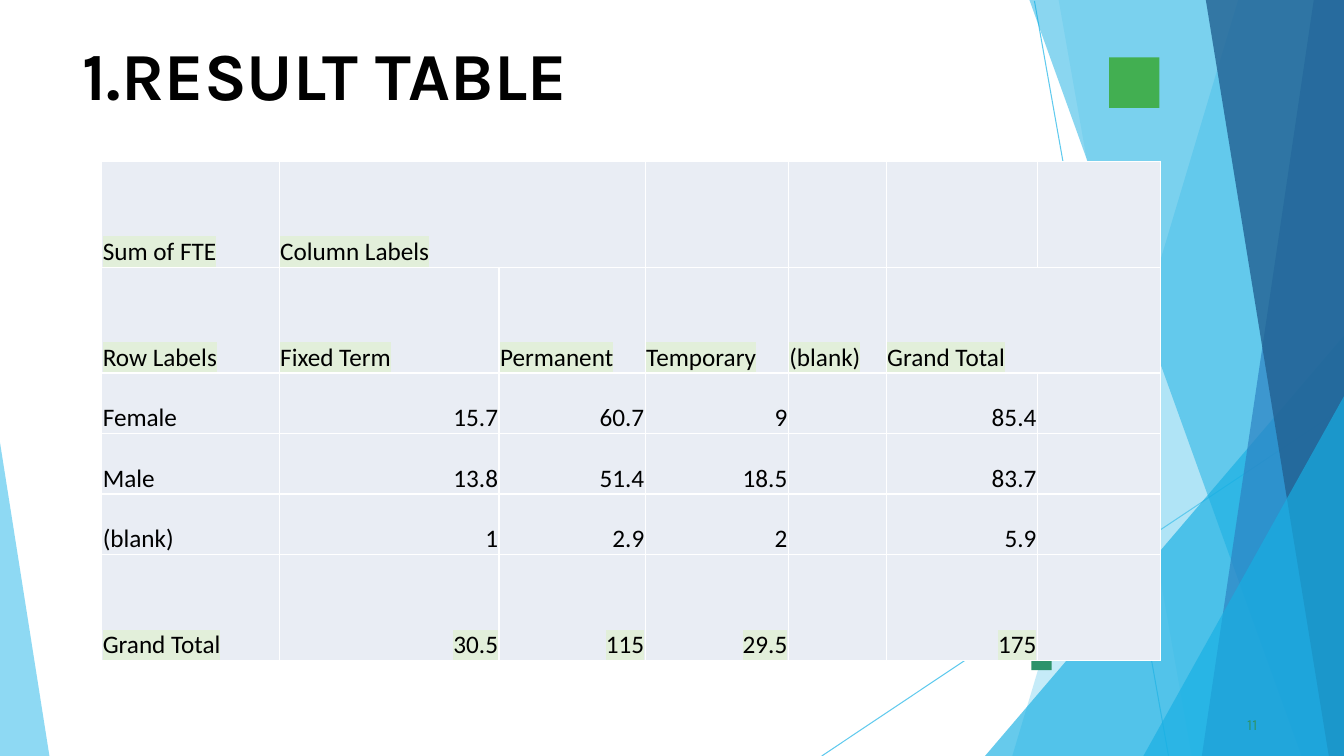
from lxml.etree import SubElement
from pptx import Presentation
from pptx.dml.color import RGBColor
from pptx.enum.shapes import MSO_CONNECTOR, MSO_SHAPE
from pptx.enum.text import MSO_ANCHOR, PP_ALIGN
from pptx.oxml.ns import qn
from pptx.util import Inches, Pt

COLORS = {
    "sky": "5FCAEE", "cyan": "17AFE3", "blue": "2D83C3", "navy": "226192",
    "teal": "2D936B", "green": "42AF51", "black": "000000", "white": "FFFFFF",
    "cell": "E9EDF4", "mark": "E2EFDA",
}
WIDE, HIGH = 13.33, 7.5

# Corners, colour and opacity in percent, from back to front
BANDS = [
    ([(WIDE, 0), (12.28, 0), (10.04, HIGH), (WIDE, HIGH)], "sky", 36),
    ([(WIDE, 0), (10.5, 0), (11.82, HIGH), (WIDE, HIGH)], "sky", 20),
    ([(WIDE, 3.33), (9.77, HIGH), (WIDE, HIGH)], "cyan", 66),
    ([(WIDE, 0), (10.21, 0), (12.91, HIGH), (WIDE, HIGH)], "cyan", 50),
    ([(WIDE, 0), (13.03, 0), (11.92, HIGH), (WIDE, HIGH)], "blue", 70),
    ([(WIDE, 0), (11.96, 0), (13.18, HIGH), (WIDE, HIGH)], "navy", 80),
    ([(WIDE, 3.93), (11.34, HIGH), (WIDE, HIGH)], "cyan", 66),
    ([(0, 4.39), (0, HIGH), (0.49, HIGH)], "sky", 70),
]
COLS = [1.76, 2.18, 1.45, 1.42, 0.97, 1.5, 1.22]
ROWS = [1.05, 1.05, 0.6, 0.6, 0.6, 1.05]
DATA = [
    ["Sum of FTE", "Column Labels", "", "", "", "", ""],
    ["Row Labels", "Fixed Term", "Permanent", "Temporary", "(blank)", "Grand Total", ""],
    ["Female", "15.7", "60.7", "9", "", "85.4", ""],
    ["Male", "13.8", "51.4", "18.5", "", "83.7", ""],
    ["(blank)", "1", "2.9", "2", "", "5.9", ""],
    ["Grand Total", "30.5", "115", "29.5", "", "175", ""],
]
HEADS = 2
MARKED = {0, 1, 5}
SPANS = [(0, 1), (1, 5)]


class Deck:
    def __init__(self):
        self.prs = Presentation()
        self.prs.slide_width = Inches(WIDE)
        self.prs.slide_height = Inches(HIGH)
        self.slide = self.prs.slides.add_slide(self.prs.slide_layouts[5])
        self.shapes = self.slide.shapes

    def tint(self, name):
        return RGBColor.from_string(COLORS[name])

    def paint(self, shape, color, alpha=100):
        shape.shadow.inherit = False
        shape.line.fill.background()
        shape.fill.solid()
        shape.fill.fore_color.rgb = self.tint(color)
        if alpha < 100:
            clr = shape.fill._xPr.find(".//" + qn("a:srgbClr"))
            SubElement(clr, qn("a:alpha"), val=str(alpha * 1000))

    def line(self, *ends):
        link = self.shapes.add_connector(
            MSO_CONNECTOR.STRAIGHT, *[Inches(v) for v in ends])
        link.line.color.rgb = self.tint("sky")
        link.line.width = Pt(0.75)
        SubElement(link._element.spPr, qn("a:effectLst"))

    def band(self, points, color, alpha):
        first, *rest = [(Inches(x), Inches(y)) for x, y in points]
        form = self.shapes.build_freeform(*first)
        form.add_line_segments(rest, close=True)
        self.paint(form.convert_to_shape(), color, alpha)

    def square(self, x, y, side, color):
        box = self.shapes.add_shape(
            MSO_SHAPE.RECTANGLE, Inches(x), Inches(y), Inches(side), Inches(side))
        self.paint(box, color)

    def run(self, para, text, size, font, color, bold=False):
        run = para.add_run()
        run.text = text
        run.font.size = Pt(size)
        run.font.name = font
        run.font.bold = bold
        run.font.color.rgb = self.tint(color)
        return run

    def label(self, box, area, text, size, color, indent, before, bold=False):
        box.left, box.top, box.width, box.height = [Inches(v) for v in area]
        frame = box.text_frame
        frame.word_wrap = True
        frame.vertical_anchor = MSO_ANCHOR.TOP
        frame.margin_left = frame.margin_right = frame.margin_bottom = 0
        frame.margin_top = Inches(0.01)
        para = frame.paragraphs[0]
        para.alignment = PP_ALIGN.LEFT
        para.space_before = Pt(before)
        para._p.get_or_add_pPr().set("marL", str(Inches(indent)))
        run = self.run(para, text, size, "Karla", color, bold)
        run._r.get_or_add_rPr().set("spc", "10")

    def title(self, area, text):
        self.label(self.shapes.title, area, text, 48, "black", 0.01, 1.1, True)

    def number(self, area, text):
        box = self.shapes.add_textbox(0, 0, 0, 0)
        self.label(box, area, text, 11, "teal", 0.04, 0.6)

    def cell(self, cell, text, right, marked):
        props = cell._tc.get_or_add_tcPr()
        for side in ("lnL", "lnR", "lnT", "lnB"):
            edge = SubElement(props, qn("a:" + side), w=str(Pt(1)))
            fill = SubElement(edge, qn("a:solidFill"))
            SubElement(fill, qn("a:srgbClr"), val=COLORS["white"])
        cell.fill.solid()
        cell.fill.fore_color.rgb = self.tint("cell")
        cell.vertical_anchor = MSO_ANCHOR.BOTTOM
        cell.margin_left = cell.margin_right = cell.margin_top = Inches(0.01)
        cell.margin_bottom = 0
        if not text:
            return
        para = cell.text_frame.paragraphs[0]
        para.alignment = PP_ALIGN.RIGHT if right else PP_ALIGN.LEFT
        run = self.run(para, text, 18, "Calibri", "black")
        if marked:
            style = run._r.get_or_add_rPr()
            mark = SubElement(style, qn("a:highlight"))
            SubElement(mark, qn("a:srgbClr"), val=COLORS["mark"])
            style.find(qn("a:solidFill")).addnext(mark)

    def table(self, x, y):
        grid = self.shapes.add_table(
            len(ROWS), len(COLS), Inches(x), Inches(y),
            Inches(sum(COLS)), Inches(sum(ROWS))).table
        grid.first_row = grid.horz_banding = False
        for col, width in zip(grid.columns, COLS):
            col.width = Inches(width)
        for r, (height, texts) in enumerate(zip(ROWS, DATA)):
            grid.rows[r].height = Inches(height)
            for c, text in enumerate(texts):
                right = r >= HEADS and c > 0
                self.cell(grid.cell(r, c), text, right, r in MARKED)
        for r, c in SPANS:
            grid.cell(r, c).merge(grid.cell(r, c + 1))


def main():
    deck = Deck()
    deck.line(10.26, 0.01, 11.59, HIGH)
    deck.line(WIDE, 4.04, 8.15, HIGH)
    for band in BANDS:
        deck.band(*band)
    deck.square(10.23, 6.45, 0.2, "teal")
    deck.number((12.33, 7.08, 0.25, 0.21), "11")
    deck.title((0.81, 0.32, 9.62, 1.64), "1.RESULT TABLE")
    deck.square(11, 0.57, 0.5, "green")
    deck.table(1.01, 1.6)
    deck.prs.save("out.pptx")


if __name__ == "__main__":
    main()
